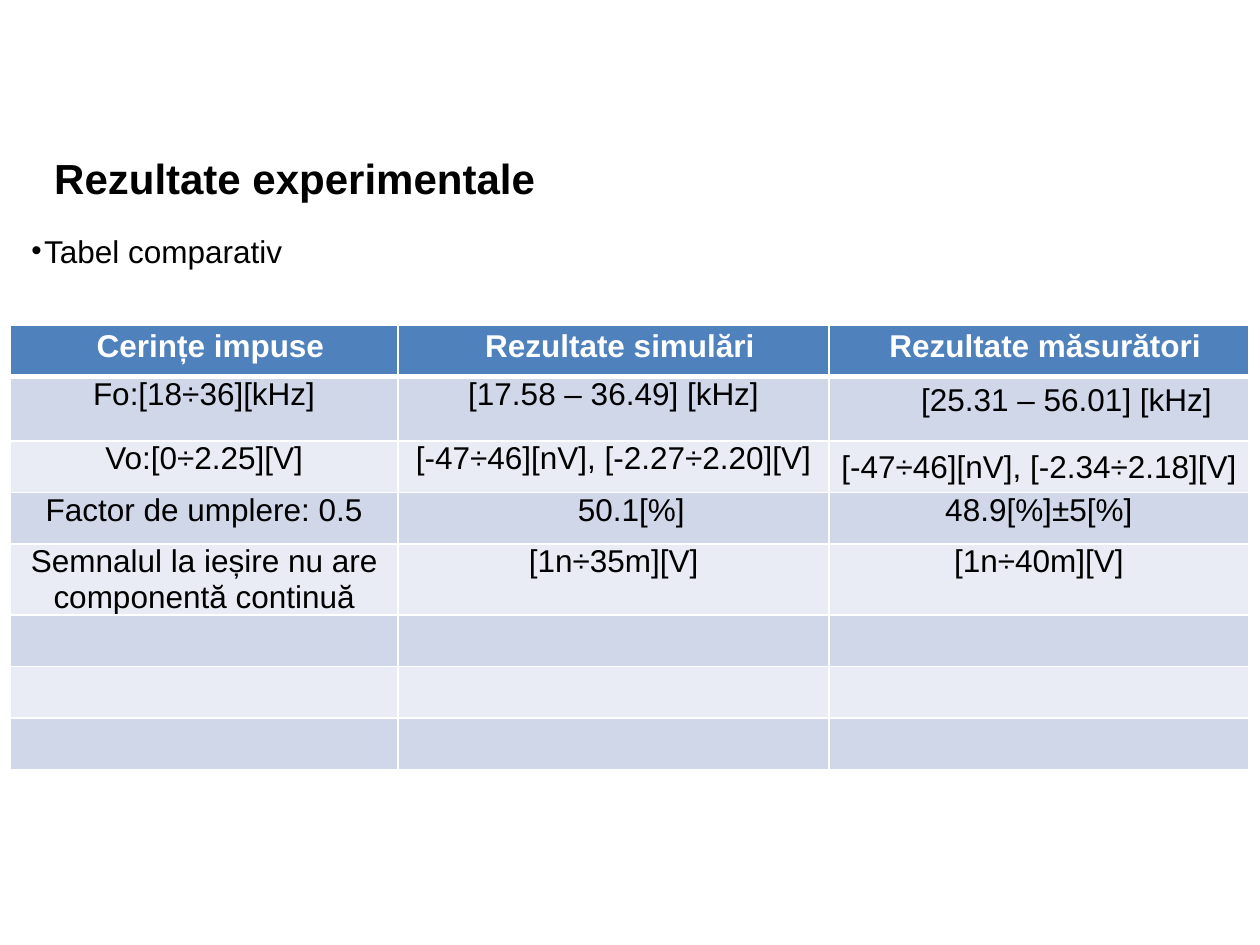
from dataclasses import dataclass

from lxml.etree import SubElement as Sub
from pptx import Presentation
from pptx.dml.color import RGBColor as Rgb
from pptx.enum.text import MSO_ANCHOR as Anchor, MSO_AUTO_SIZE as Auto, PP_ALIGN as Align
from pptx.oxml.ns import qn
from pptx.util import Inches, Pt

HUES = {"white": "FFFFFF", "black": "000000", "head": "4F81BC",
        "odd": "D0D7E8", "even": "E9ECF4"}
COLS = [3.08, 3.42, 3.33]
ROWS = [0.41, 0.51] + [0.41] * 6


@dataclass
class Entry:
    text: str
    indent: float = 0
    before: float = 0
    top: float = 0


def heads(*names: str) -> list[Entry]:
    return [Entry(name, 0.1, 2.4, 0.03) for name in names]


GRID = [
    heads("Cerințe impuse", "Rezultate simulări", "Rezultate măsurători"),
    [Entry("Fo:[18÷36][kHz]"), Entry("[17.58 – 36.49] [kHz]"),
     Entry("[25.31 – 56.01] [kHz]", 0.44, 3.9, 0.05)],
    [Entry("Vo:[0÷2.25][V]"), Entry("[-47÷46][nV], [-2.27÷2.20][V]")],
    [Entry("Factor de umplere: 0.5"), Entry("50.1[%]", 0.28), Entry("48.9[%]±5[%]")],
    [Entry("Semnalul la ieșire nu are componentă continuă"),
     Entry("[1n÷35m][V]"), Entry("[1n÷40m][V]")],
]


def apply(item, values: dict) -> None:
    for name, value in values.items():
        setattr(item, name, value)


def write(para, text: str, size: float = 18, hue: str = "black",
          bold: bool = False, align=Align.LEFT, before: float = 0) -> None:
    apply(para, {"alignment": align, "space_before": Pt(before)})
    run = para.add_run()
    run.text = text
    apply(run.font, {"name": "Arial", "size": Pt(size), "bold": bold})
    run.font.color.rgb = Rgb.from_string(HUES[hue])


def indent(para, left: float, first: float = 0):
    props = para._p.get_or_add_pPr()
    props.set("marL", str(Inches(left)))
    props.set("indent", str(Inches(first)))
    return props


def place(shape, left: float, top: float, width: float, height: float) -> None:
    apply(shape, {"left": Inches(left), "top": Inches(top),
                  "width": Inches(width), "height": Inches(height)})


def inset(frame, top: float) -> None:
    apply(frame, {"margin_left": 0, "margin_right": 0, "margin_bottom": 0,
                  "margin_top": Inches(top), "vertical_anchor": Anchor.TOP,
                  "word_wrap": True, "auto_size": Auto.NONE})


def border(cell, row: int) -> None:
    props = cell._tc.get_or_add_tcPr()
    for side in "LRTB":
        thick = (row, side) in ((0, "B"), (1, "T"))
        line = Sub(props, qn(f"a:ln{side}"), w=str(Pt(3 if thick else 1)))
        fill = Sub(line, qn("a:solidFill"))
        Sub(fill, qn("a:srgbClr"), val=HUES["white"])


def paint(cell, row: int) -> None:
    border(cell, row)
    cell.fill.solid()
    hue = "head" if row == 0 else "odd" if row % 2 else "even"
    cell.fill.fore_color.rgb = Rgb.from_string(HUES[hue])


def enter(cell, entry: Entry, head: bool) -> None:
    apply(cell, {"margin_left": 0, "margin_right": 0, "margin_bottom": 0,
                 "margin_top": Inches(entry.top)})
    para = cell.text_frame.paragraphs[0]
    write(para, entry.text, hue="white" if head else "black", bold=head,
          align=Align.CENTER, before=entry.before)
    indent(para, entry.indent)


def add_grid(slide) -> None:
    table = slide.shapes.add_table(
        len(ROWS), len(COLS), Inches(0.08), Inches(2.58),
        Inches(sum(COLS)), Inches(sum(ROWS))).table
    for col, width in zip(table.columns, COLS):
        col.width = Inches(width)
    for row, height in zip(table.rows, ROWS):
        row.height = Inches(height)
    for row in range(len(ROWS)):
        for col in range(len(COLS)):
            paint(table.cell(row, col), row)
    for row, line in enumerate(GRID):
        for col, entry in enumerate(line):
            enter(table.cell(row, col), entry, row == 0)


def add_box(slide, *area: float):
    return slide.shapes.add_textbox(*map(Inches, area)).text_frame


def main() -> None:
    deck = Presentation()
    apply(deck, {"slide_width": Inches(10), "slide_height": Inches(7.5)})
    slide = deck.slides.add_slide(deck.slide_layouts[5])

    title = slide.shapes.title
    place(title, 0.42, 1.03, 8.69, 0.6)
    inset(title.text_frame, 0.18)
    para = title.text_frame.paragraphs[0]
    write(para, "Rezultate experimentale", 24, bold=True, before=1)
    indent(para, 0.01)

    frame = add_box(slide, 0.25, 1.83, 2, 0.33)
    inset(frame, 0.01)
    para = frame.paragraphs[0]
    write(para, "Tabel comparativ", before=1)
    props = indent(para, 0.1, -0.1)
    Sub(props, qn("a:buSzPct"), val="94000")
    Sub(props, qn("a:buFont"), typeface="Arial")
    Sub(props, qn("a:buChar"), char="•")

    add_grid(slide)
    frame = add_box(slide, 6.58, 3.5, 3.92, 0.4)
    frame.word_wrap = True
    write(frame.paragraphs[0], "[-47÷46][nV], [-2.34÷2.18][V]")
    deck.save("out.pptx")


if __name__ == "__main__":
    main()
